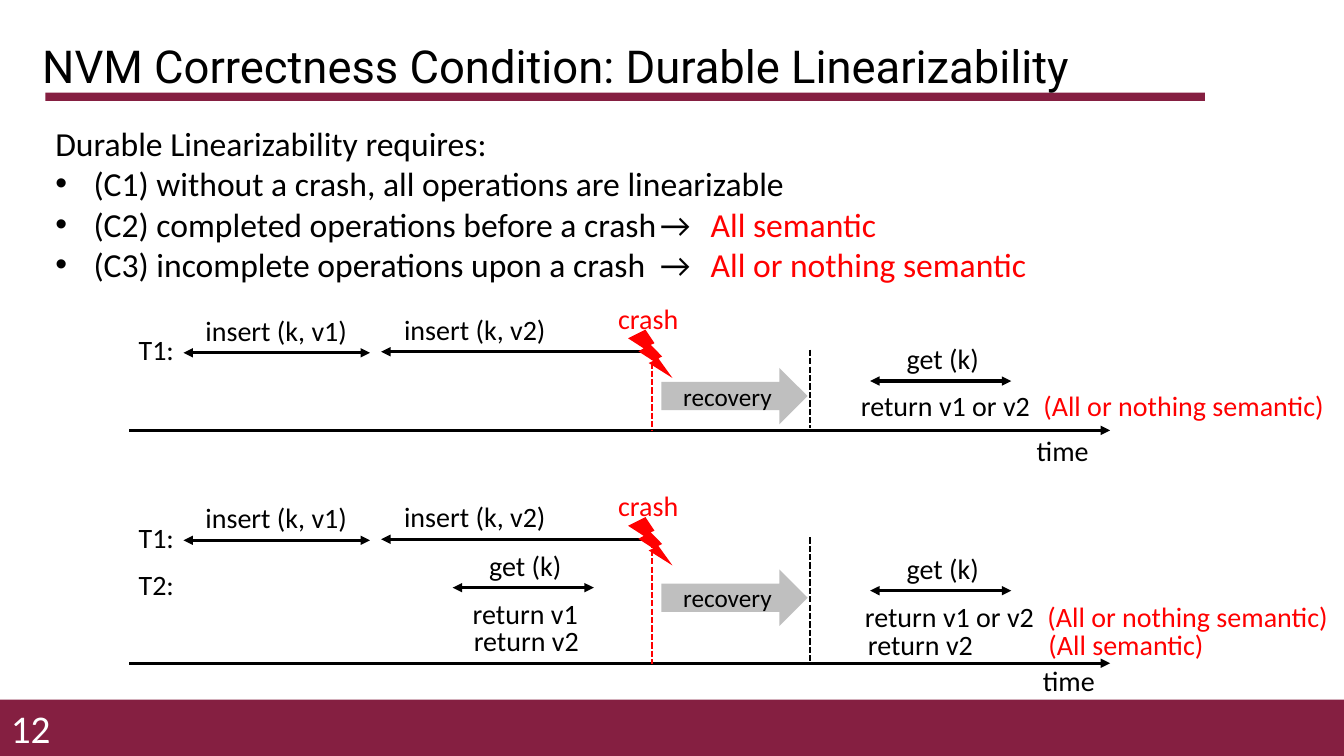
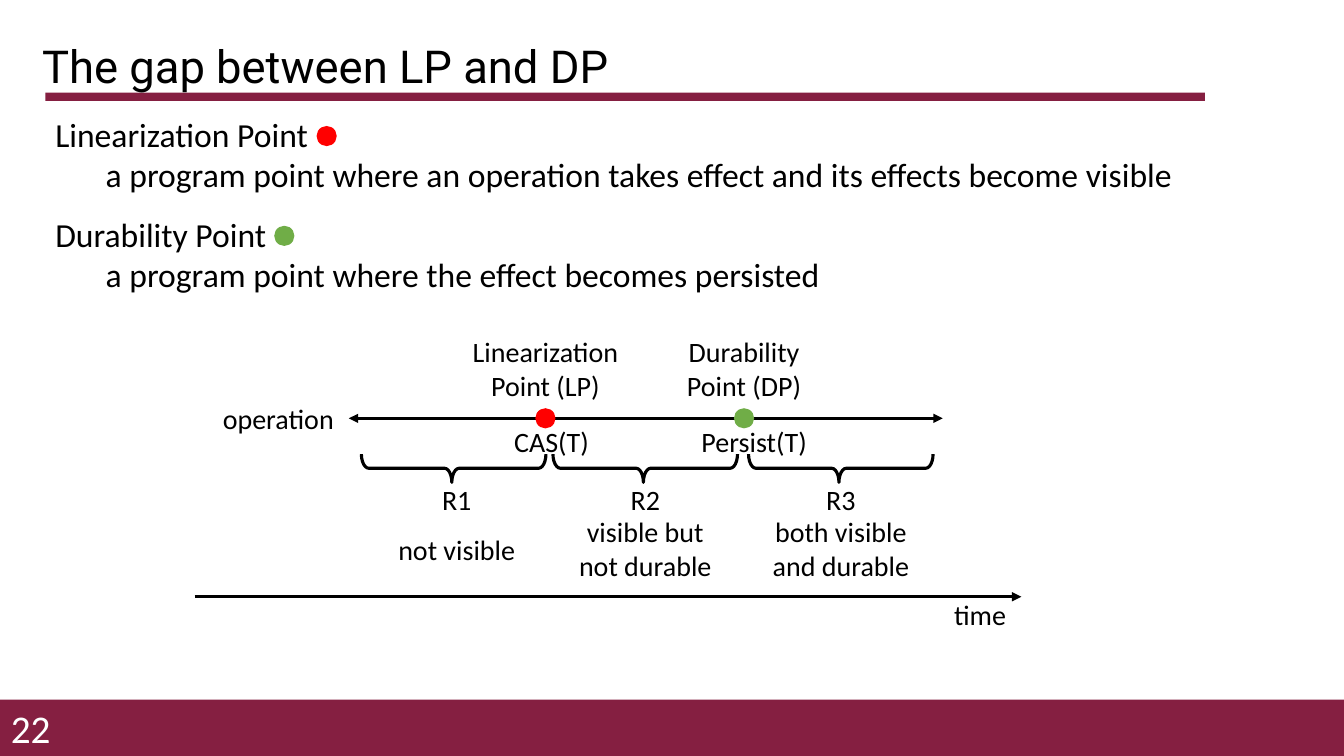
from dataclasses import dataclass

from lxml.etree import SubElement
from pptx import Presentation
from pptx.dml.color import RGBColor
from pptx.enum.dml import MSO_LINE
from pptx.enum.shapes import MSO_CONNECTOR, MSO_SHAPE
from pptx.enum.text import MSO_ANCHOR, PP_ALIGN
from pptx.oxml.ns import qn
from pptx.util import Inches, Pt


@dataclass(frozen=True)
class Theme:
    """Colours, fonts and type sizes of the deck."""
    black: str = "000000"
    white: str = "FFFFFF"
    maroon: str = "851F41"
    red: str = "FF0000"
    green: str = "70AD47"
    grey: str = "BFBFBF"
    head_font: str = "Roboto"
    body_font: str = "Calibri"
    head: float = 32.4
    page: int = 28
    body: int = 24
    label: int = 20
    small: int = 18
    thick: float = 2.25
    thin: float = 1.5


THEME = Theme()


class Deck:
    """Hold the theme and the current slide, and draw each kind of element."""

    def __init__(self, theme):
        self.theme = theme
        self.show = Presentation()
        self.show.slide_width = Inches(13.33)
        self.show.slide_height = Inches(7.5)
        self.slide = None

    def start(self, title, page):
        t = self.theme
        self.slide = self.show.slides.add_slide(self.show.slide_layouts[6])
        self.shape(MSO_SHAPE.RECTANGLE, 0, 6.94, 13.33, 0.56, t.maroon)
        self.shape(MSO_SHAPE.RECTANGLE, 0.45, 0.92, 11.5, 0.08, t.maroon)
        head = self.text(0.32, 0.4, 11.5, 0.56, [title], t.head, font=t.head_font,
                         anchor=MSO_ANCHOR.MIDDLE)
        head.paragraphs[0].line_spacing = 0.9
        self.text(0, 7.02, 0.6, 0.4, [page], t.page, t.white, PP_ALIGN.RIGHT,
                  anchor=MSO_ANCHOR.MIDDLE)

    def style(self, font, size, color, name=None):
        font.size = Pt(size)
        font.name = name or self.theme.body_font
        font.color.rgb = RGBColor.from_string(color)

    def text(self, x, y, w, h, lines, size=None, color=None, align=PP_ALIGN.LEFT,
             font=None, anchor=MSO_ANCHOR.TOP):
        t = self.theme
        box = self.slide.shapes.add_textbox(Inches(x), Inches(y), Inches(w), Inches(h))
        frame = box.text_frame
        frame.word_wrap = True
        frame.vertical_anchor = anchor
        for i, line in enumerate(lines):
            par = frame.paragraphs[0] if i == 0 else frame.add_paragraph()
            par.text = line
            par.alignment = align
            self.style(par.font, size or t.label, color or t.black, font)
        return frame

    def label(self, mid, y, *lines, wide=1.69, color=None):
        self.text(mid - wide / 2, y, wide, 0.44, lines, color=color, align=PP_ALIGN.CENTER)

    def indent(self, par, left, hang=0, mark=None):
        props = par._p.get_or_add_pPr()
        props.set("marL", str(Inches(left)))
        props.set("indent", str(Inches(-hang)))
        if mark:
            SubElement(props, qn("a:buFont")).set("typeface", "Arial")
            SubElement(props, qn("a:buChar")).set("char", mark)

    def shape(self, kind, x, y, w, h, fill=None):
        item = self.slide.shapes.add_shape(kind, Inches(x), Inches(y), Inches(w), Inches(h))
        item.shadow.inherit = False
        if fill:
            item.fill.solid()
            item.fill.fore_color.rgb = RGBColor.from_string(fill)
            item.line.fill.background()
        else:
            item.fill.background()
            item.line.color.rgb = RGBColor.from_string(self.theme.black)
            item.line.width = Pt(self.theme.thick)
        return item

    def dot(self, x, y, color):
        self.shape(MSO_SHAPE.OVAL, x, y, 0.2, 0.2, color)

    def brace(self, mid, y):
        item = self.shape(MSO_SHAPE.LEFT_BRACE, mid - 0.14, y - 0.92, 0.28, 1.83)
        item.rotation = 270
        item.adjustments[0] = 0.26
        item.adjustments[1] = 0.49

    def line(self, x1, y1, x2, y2, color=None, ends=(), dash=False):
        t = self.theme
        item = self.slide.shapes.add_connector(
            MSO_CONNECTOR.STRAIGHT, Inches(x1), Inches(y1), Inches(x2), Inches(y2))
        item.line.color.rgb = RGBColor.from_string(color or t.black)
        item.line.width = Pt(t.thin if dash else t.thick)
        if dash:
            item.line.dash_style = MSO_LINE.SQUARE_DOT
        for end in ends:
            SubElement(item.line._get_or_add_ln(), qn("a:" + end)).set("type", "triangle")
        SubElement(item._element.spPr, qn("a:effectLst"))

    def span(self, x1, x2, y):
        self.line(x1, y, x2, y, ends=("headEnd", "tailEnd"))

    def axis(self, x1, x2, y, mid, top):
        self.line(x1, y, x2, y, ends=("tailEnd",))
        self.label(mid, top, "time")

    def get(self, mid, y):
        self.span(mid - 0.7, mid + 0.7, y)
        self.label(mid + 0.02, y - 0.44, "get (k)")

    def result(self, x, y, value, note_x, note):
        self.text(x, y, 1.9, 0.44, [value])
        self.text(note_x, y, 3.03, 0.44, [note], color=self.theme.red)

    def crash(self, y, axis, block):
        t = self.theme
        self.label(1.55, y - 0.25, "T1:", wide=0.59)
        self.span(1.82, 3.67, y)
        self.label(2.74, y - 0.44, "insert (k, v1)")
        self.line(3.78, y - 0.01, 6.47, y - 0.01, ends=("headEnd",))
        self.label(4.71, y - 0.45, "insert (k, v2)")
        self.line(6.47, y + 0.01, 6.47, axis + 0.01, t.red, dash=True)
        self.shape(MSO_SHAPE.LIGHTNING_BOLT, 6.23, y - 0.23, 0.44, 0.48, t.red)
        self.label(6.43, y - 0.56, "crash", wide=0.83, color=t.red)
        arrow = self.shape(MSO_SHAPE.RIGHT_ARROW, 6.56, block, 1.45, 0.56, t.grey)
        arrow.text_frame.text = "recovery"
        par = arrow.text_frame.paragraphs[0]
        par.alignment = PP_ALIGN.CENTER
        self.style(par.font, t.small, t.black)
        self.line(8.03, y - 0.03, 8.03, axis - 0.02, dash=True)


def rules(deck):
    """Draw the slide on durable linearizability."""
    t = deck.theme
    deck.start("NVM Correctness Condition: Durable Linearizability", "12")
    frame = deck.text(0.45, 1.17, 12.57, 1.72, ["Durable Linearizability requires:"], t.body)
    for claim, note in (
            ("(C1) without a crash, all operations are linearizable", ""),
            ("(C2) completed operations before a crash\t→\t", "All semantic"),
            ("(C3) incomplete operations upon a crash\t→\t", "All or nothing semantic")):
        par = frame.add_paragraph()
        deck.indent(par, 0.38, 0.38, "•")
        par.text = claim
        deck.style(par.font, t.body, t.black)
        if note:
            run = par.add_run()
            run.text = note
            run.font.color.rgb = RGBColor.from_string(t.red)

    both = "(All or nothing semantic)"
    deck.axis(1.28, 11.01, 4.27, 10.54, 4.25)
    deck.crash(3.5, 4.27, 3.65)
    deck.get(9.33, 3.78)
    deck.result(8.44, 3.81, "return v1 or v2", 10.25, both)

    deck.axis(1.28, 11.01, 6.58, 10.6, 6.53)
    deck.crash(5.36, 6.58, 5.65)
    deck.label(1.55, 5.58, "T2:", wide=0.59)
    deck.get(5.19, 5.83)
    deck.label(5.21, 5.87, "return v1")
    deck.label(5.22, 6.14, "return v2")
    deck.get(9.33, 5.86)
    deck.result(8.48, 5.9, "return v1 or v2", 10.29, both)
    deck.result(8.51, 6.18, "return v2", 10.3, "(All semantic)")


def gap(deck):
    """Draw the slide on the gap between the two points."""
    t = deck.theme
    deck.start("The gap between LP and DP", "22")
    for y, name, claim, x, color in (
            (1.08, "Linearization Point",
             "a program point where an operation takes effect and its effects become visible",
             3.14, t.red),
            (2.07, "Durability Point",
             "a program point where the effect becomes persisted", 2.72, t.green)):
        frame = deck.text(0.45, y, 12.21, 0.91, [name, claim], t.body)
        deck.indent(frame.paragraphs[1], 0.5)
        deck.dot(x, y + 0.17, color)

    deck.axis(1.93, 10.13, 5.92, 9.72, 5.88)
    deck.span(3.46, 9.35, 4.15)
    deck.label(2.76, 3.93, "operation")
    for x, color, name, wide, call, mid in (
            (5.41, t.red, "Linearization Point (LP)", 1.69, "CAS(T)", 5.47),
            (7.38, t.green, "Durability Point (DP)", 1.43, "Persist(T)", 7.48)):
        deck.dot(x - 0.1, 4.05, color)
        deck.label(x, 3.27, name, wide=wide)
        deck.label(mid, 4.16, call)
    for brace, mid, name, top, lines in (
            (4.5, 4.53, "R1", 5.23, ["not visible"]),
            (6.4, 6.4, "R2", 5.06, ["visible but", "not durable"]),
            (8.34, 8.34, "R3", 5.06, ["both visible", "and durable"])):
        deck.brace(brace, 4.65)
        deck.label(mid, 4.74, name)
        deck.label(mid, top, *lines)


def main():
    """Build and save the deck."""
    deck = Deck(THEME)
    rules(deck)
    gap(deck)
    deck.show.save("out.pptx")


if __name__ == "__main__":
    main()
